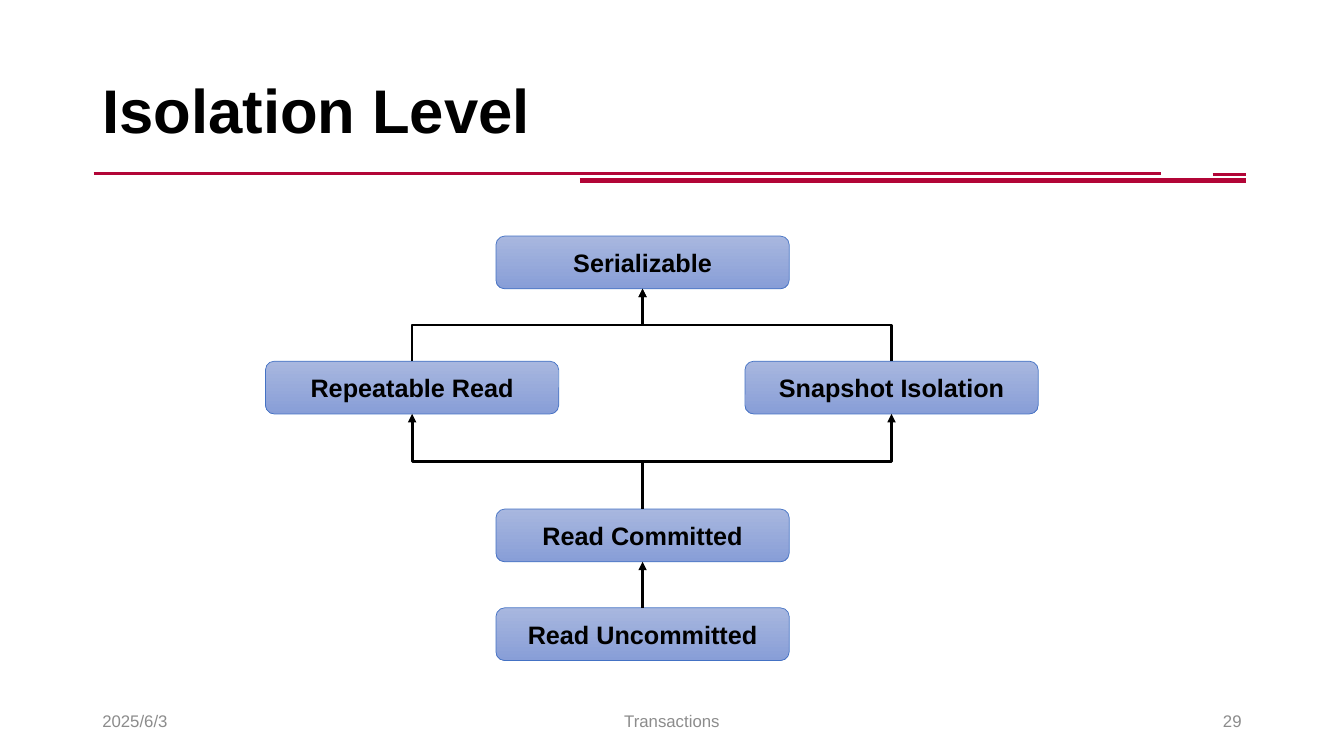
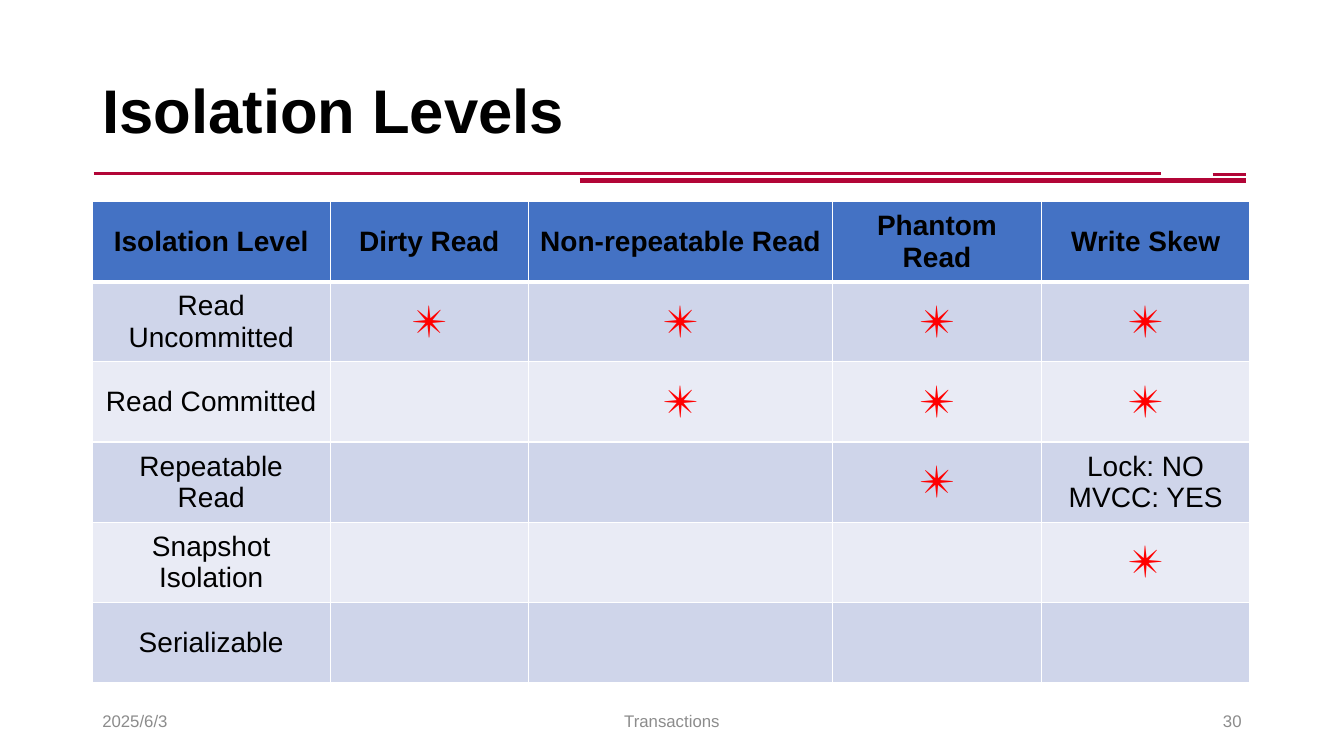
import pptx
import pptx.util
import pptx.dml.color
import pptx.enum.shapes
import pptx.enum.text
import pptx.oxml
import pptx.oxml.ns
import lxml.etree

SHAPE = pptx.enum.shapes.MSO_SHAPE
LINE = pptx.enum.shapes.MSO_CONNECTOR
ALIGN = pptx.enum.text.PP_ALIGN
MIDDLE = pptx.enum.text.MSO_ANCHOR.MIDDLE
qn = pptx.oxml.ns.qn

COLORS = {name: pptx.dml.color.RGBColor.from_string(value) for name, value in {
    "rule": "B20537", "black": "000000", "white": "FFFFFF", "footer": "8C8C8C",
    "blue": "4472C4", "box_top": "A8B7DF", "box_bottom": "889ED7",
    "band_dark": "CFD5EA", "band_light": "E9EBF5", "star": "FF0000",
}.items()}

# Grid of 160 columns by 90 rows, one cell is a twelfth of an inch
UNIT = pptx.util.Inches(1) / 12
COLS, ROWS = 160, 90
MARGIN, CONTENT = 11, 138


def write(tf, text, size, color="black", bold=False, align=ALIGN.CENTER):
    """Fill a text frame, one paragraph for each line of text."""
    for i, line in enumerate(text.split("\n")):
        p = tf.add_paragraph() if i else tf.paragraphs[0]
        p.alignment = align
        r = p.add_run()
        r.text = line
        r.font.name = "Arial"
        r.font.size = pptx.util.Pt(size)
        r.font.bold = bold
        r.font.color.rgb = COLORS[color]


def connect(s, kind, ends, color, width, arrow=False):
    """Draw a connector between two grid points."""
    c = s.shapes.add_connector(kind, *[round(v * UNIT) for v in ends])
    c.line.color.rgb = COLORS[color]
    c.line.width = pptx.util.Pt(width)
    if arrow:
        tail = lxml.etree.SubElement(c.line._get_or_add_ln(), qn("a:tailEnd"))
        tail.set("type", "triangle")
    lxml.etree.SubElement(c._element.spPr, qn("a:effectLst"))
    return c


prs = pptx.Presentation()
prs.slide_width = round(COLS * UNIT)
prs.slide_height = round(ROWS * UNIT)

# Shared frame: title, rules and footer
rules = [((11.16, 20.64, 138.24, 20.64), 2),
         ((69, 21.48, 148.32, 21.48), 4),
         ((144.36, 20.76, 148.32, 20.76), 2)]
slides = []
for title, number in [("Isolation Level", "29"), ("Isolation Levels", "30")]:
    s = prs.slides.add_slide(prs.slide_layouts[5])
    slides.append(s)
    for ends, width in rules:
        connect(s, LINE.STRAIGHT, ends, "rule", width)

    sp = s.shapes.title
    sp.left, sp.top, sp.width, sp.height = [
        round(v * UNIT) for v in (MARGIN, 4.8, CONTENT, 17.4)]
    tf = sp.text_frame
    tf.auto_size = pptx.enum.text.MSO_AUTO_SIZE.NONE
    tf.vertical_anchor = MIDDLE
    write(tf, title, 44, bold=True, align=ALIGN.LEFT)
    tf.paragraphs[0].line_spacing = 0.9

    for text, left, width, align in [("2025/6/3", MARGIN, 36, ALIGN.LEFT),
                                     ("Transactions", 53, 54, ALIGN.CENTER),
                                     (number, 113, 36, ALIGN.RIGHT)]:
        sp = s.shapes.add_textbox(*[round(v * UNIT) for v in (left, 83.4, width, 4.8)])
        tf = sp.text_frame
        tf.word_wrap = True
        tf.vertical_anchor = MIDDLE
        write(tf, text, 12, "footer", align=align)

diagram, matrix = slides

# Diagram: boxes placed by centre column and top row
BOX_W, BOX_H = 34.92, 6.28
left, centre, right = 49.06, 76.5, 106.14
places = {"Serializable": (centre, 28.1),
          "Repeatable Read": (left, 43),
          "Snapshot Isolation": (right, 43),
          "Read Committed": (centre, 60.6),
          "Read Uncommitted": (centre, 72.36)}
boxes = {}
for name, (x, y) in places.items():
    sp = diagram.shapes.add_shape(SHAPE.ROUNDED_RECTANGLE, *[
        round(v * UNIT) for v in (x - BOX_W / 2, y, BOX_W, BOX_H)])
    sp.shadow.inherit = False
    sp.fill.gradient()
    sp.fill.gradient_angle = 270
    for stop, color in zip(sp.fill.gradient_stops, ("box_top", "box_bottom")):
        stop.color.rgb = COLORS[color]
    sp.line.color.rgb = COLORS["blue"]
    sp.line.width = pptx.util.Pt(0.5)
    sp.text_frame.vertical_anchor = MIDDLE
    write(sp.text_frame, name, 18, bold=True)
    boxes[name] = sp

# Diagram: arrows from the top of the weaker level to the bottom of the stronger
for start, end in [("Read Committed", "Repeatable Read"),
                   ("Read Committed", "Snapshot Isolation"),
                   ("Repeatable Read", "Serializable"),
                   ("Snapshot Isolation", "Serializable"),
                   ("Read Uncommitted", "Read Committed")]:
    (x1, y1), (x2, y2) = places[start], places[end]
    y2 += BOX_H
    kind = LINE.STRAIGHT if x1 == x2 else LINE.ELBOW
    c = connect(diagram, kind, (x1, y1, x2, y2), "black", 2, arrow=True)
    c.begin_connect(boxes[start], 0)
    c.end_connect(boxes[end], 2)
    if kind == LINE.ELBOW:
        # A quarter turn makes the elbow leave and arrive vertically
        run, rise = abs(x2 - x1), y1 - y2
        c.left, c.top, c.width, c.height = [round(v * UNIT) for v in (
            (x1 + x2 - rise) / 2, (y1 + y2 - run) / 2, rise, run)]
        xfrm = c._element.spPr.find(qn("a:xfrm"))
        xfrm.set("rot", str((90 if x2 > x1 else 270) * 60000))
        xfrm.set("flipH", "1" if x2 > x1 else "0")
        xfrm.set("flipV", "1")

# Table of anomalies allowed at each level
rows = [
    ["Isolation Level", "Dirty Read", "Non-repeatable Read", "Phantom Read", "Write Skew"],
    ["Read Uncommitted", "✴", "✴", "✴", "✴"],
    ["Read Committed", "", "✴", "✴", "✴"],
    ["Repeatable Read", "", "", "✴", "Lock: NO\nMVCC: YES"],
    ["Snapshot Isolation", "", "", "", "✴"],
    ["Serializable", "", "", "", ""],
]
widths = [28.3, 23.6, 36.24, 24.84, 24.84]
ROW_H = 9.54
table = matrix.shapes.add_table(len(rows), len(widths), *[
    round(v * UNIT) for v in (MARGIN, 24, sum(widths), ROW_H * len(rows))]).table
for column, width in zip(table.columns, widths):
    column.width = round(width * UNIT)
for i, texts in enumerate(rows):
    table.rows[i].height = round(ROW_H * UNIT)
    band = "blue" if i == 0 else "band_dark" if i % 2 else "band_light"
    for j, text in enumerate(texts):
        cell = table.cell(i, j)
        cell.vertical_anchor = MIDDLE
        # White borders, heavier under the header
        for side in "LRTB":
            heavy = (i, side) in [(0, "B"), (1, "T")]
            ln = lxml.etree.SubElement(cell._tc.get_or_add_tcPr(), qn("a:ln" + side))
            ln.set("w", str(pptx.util.Pt(3 if heavy else 1)))
            fill = lxml.etree.SubElement(ln, qn("a:solidFill"))
            lxml.etree.SubElement(fill, qn("a:srgbClr")).set("val", str(COLORS["white"]))
        cell.fill.solid()
        cell.fill.fore_color.rgb = COLORS[band]
        if text == "✴":
            write(cell.text_frame, text, 32, "star", bold=True)
        elif text:
            write(cell.text_frame, text, 20, bold=i == 0)

prs.save("out.pptx")
